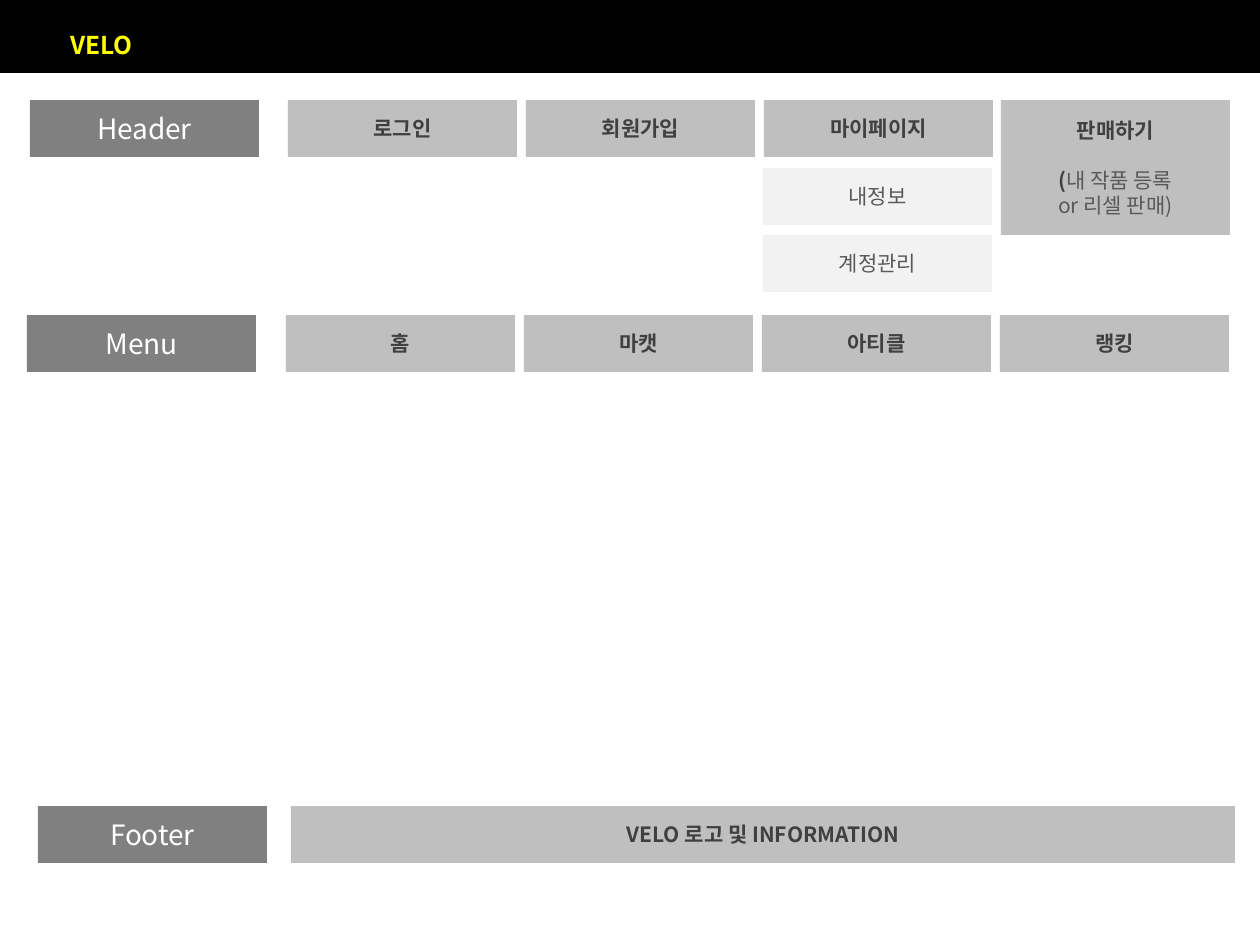
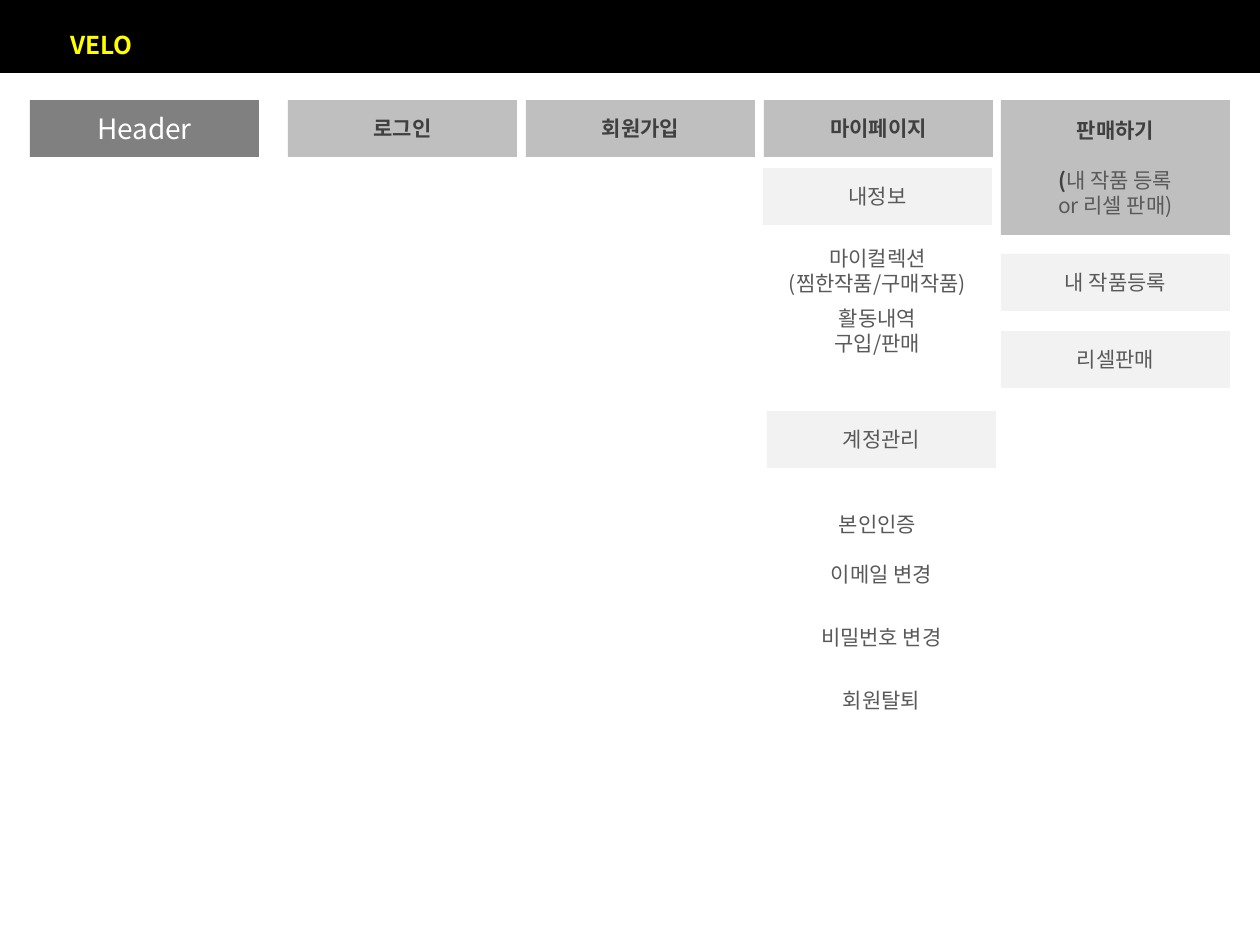
from pptx import Presentation
from pptx.dml.color import RGBColor
from pptx.enum.shapes import MSO_SHAPE
from pptx.enum.text import MSO_ANCHOR, PP_ALIGN
from pptx.util import Emu, Pt

RECT = MSO_SHAPE.RECTANGLE
MIDDLE = MSO_ANCHOR.MIDDLE
CENTER = PP_ALIGN.CENTER
FONT = "Noto Sans CJK KR"
SCALE = 914400 // 126
WIDE, HIGH = 1260, 945
BOX_W, BOX_H = 229, 57
STEP = 238
TOP = 100
SUB_X, SELL_X = 763, 1001

STYLES = {
    "label": ("808080", "FFFFFF", 16, False),
    "main": ("BFBFBF", "404040", 12, True),
    "sub": ("F2F2F2", "595959", 12, False),
    "plain": ("FFFFFF", "595959", 12, False),
}
BRAND = "VELO"
HEADER = ["로그인", "회원가입", "마이페이지"]
MENU = ["홈", "마캣", "아티클", "랭킹"]
SELL = "판매하기"
SELL_NOTE = [("(", "404040", True), ("내 작품 등록\vor 리셀 판매)", "595959", False)]
FOOTER = f"{BRAND} 로고 및 INFORMATION"

SITE_SUBS = [("sub", SUB_X, 235, ["계정관리"])]
PAGE_SUBS = [
    ("sub", SUB_X + 4, 411, ["계정관리"]),
    ("plain", SUB_X, 242, ["마이컬렉션\v(찜한작품/구매작품)"]),
    ("plain", SUB_X, 302, ["활동내역", "구입/판매"]),
    ("plain", SUB_X, 496, ["본인인증"]),
    ("plain", SUB_X + 4, 546, ["이메일 변경"]),
    ("plain", SUB_X + 4, 609, ["비밀번호 변경"]),
    ("plain", SUB_X + 4, 672, ["회원탈퇴"]),
    ("sub", SELL_X, 254, ["내 작품등록"]),
    ("sub", SELL_X, 331, ["리셀판매"]),
]


def px(n):
    return Emu(n * SCALE)


def color(code):
    return RGBColor.from_string(code)


def add_run(para, text, ink, size, bold):
    for i, part in enumerate(text.split("\v")):
        if i:
            para.add_line_break()
        run = para.add_run()
        run.text = part
        font = run.font
        font.name, font.size, font.bold = FONT, Pt(size), bold
        font.color.rgb = color(ink)


def add_rect(slide, x, y, w, h, fill):
    rect = slide.shapes.add_shape(RECT, px(x), px(y), px(w), px(h))
    rect.shadow.inherit = False
    rect.fill.solid()
    rect.fill.fore_color.rgb = color(fill)
    rect.line.fill.background()
    return rect


def add_box(slide, style, x, y, lines, w=BOX_W, h=BOX_H):
    fill, ink, size, bold = STYLES[style]
    frame = add_rect(slide, x, y, w, h, fill).text_frame
    frame.word_wrap = True
    frame.vertical_anchor = MIDDLE
    for i, line in enumerate(lines):
        para = frame.add_paragraph() if i else frame.paragraphs[0]
        para.alignment = CENTER
        add_run(para, line, ink, size, bold)
    return frame


def add_row(slide, label, x, start, y, names):
    add_box(slide, "label", x, y, [label])
    for i, name in enumerate(names):
        add_box(slide, "main", start + i * STEP, y, [name])


def add_page(deck, subs):
    slide = deck.slides.add_slide(deck.slide_layouts[6])
    add_rect(slide, 0, 0, WIDE, 73, "000000")
    add_row(slide, "Header", 30, 288, TOP, HEADER)
    frame = add_box(slide, "main", SELL_X, TOP, [SELL], h=135)
    note = frame.add_paragraph()
    note.alignment = CENTER
    note.space_before = Pt(14)
    for text, ink, bold in SELL_NOTE:
        add_run(note, text, ink, 12, bold)
    add_box(slide, "sub", SUB_X, 168, ["내정보"])
    for style, x, y, lines in subs:
        add_box(slide, style, x, y, lines)
    title = slide.shapes.add_textbox(px(58), px(24), px(570), px(42)).text_frame
    title.word_wrap = True
    add_run(title.paragraphs[0], BRAND, "FFFF00", 14, True)
    return slide


def main():
    deck = Presentation()
    deck.slide_width, deck.slide_height = px(WIDE), px(HIGH)
    site = add_page(deck, SITE_SUBS)
    add_row(site, "Menu", 27, 286, 315, MENU)
    add_box(site, "label", 38, 806, ["Footer"])
    add_box(site, "main", 291, 806, [FOOTER], w=944)
    add_page(deck, PAGE_SUBS)
    deck.save("out.pptx")


if __name__ == "__main__":
    main()
